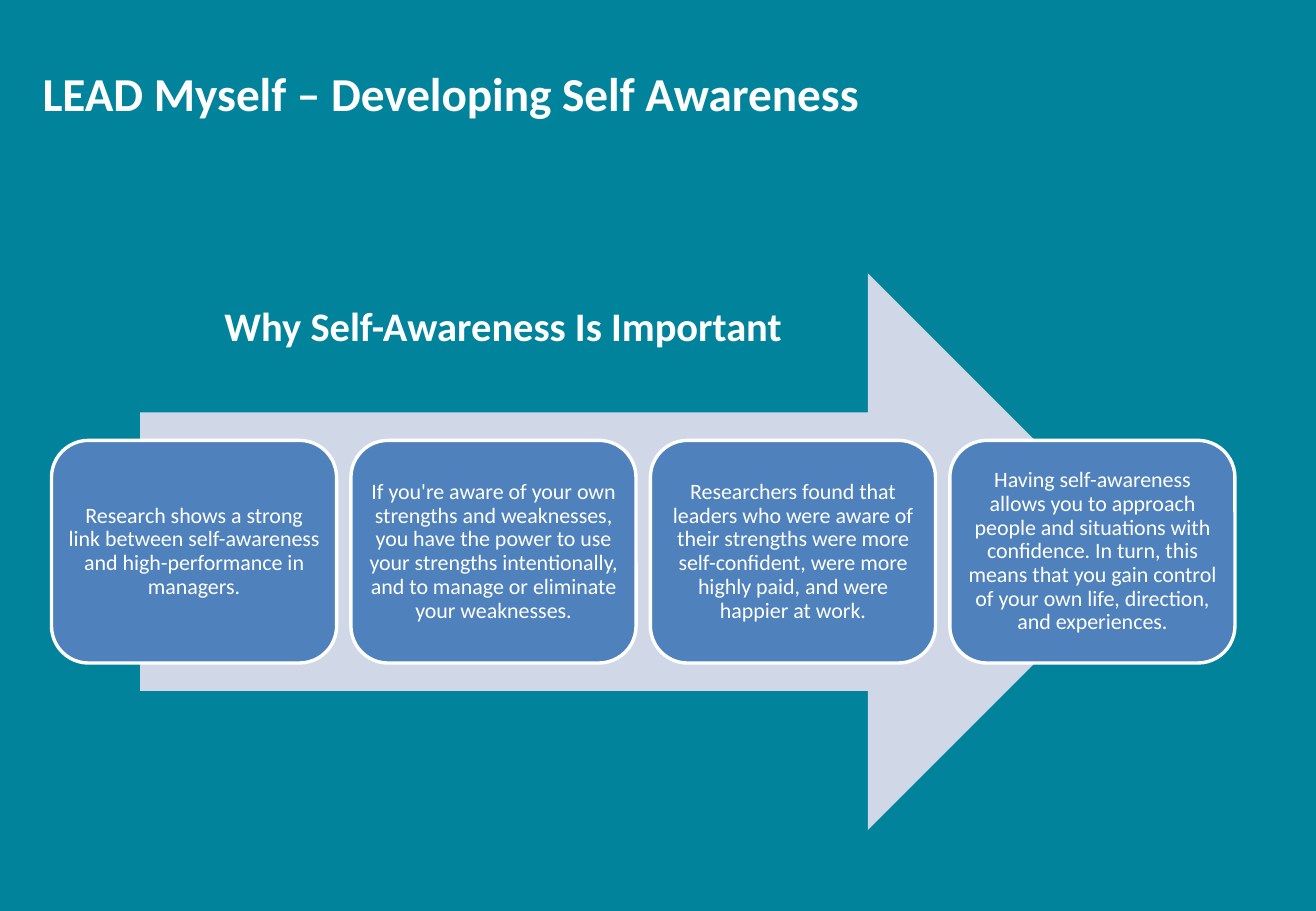
from dataclasses import dataclass

from pptx import Presentation
from pptx.dml.color import RGBColor
from pptx.enum.shapes import MSO_SHAPE as Shape
from pptx.enum.text import MSO_ANCHOR as Anchor, MSO_AUTO_SIZE as AutoSize, PP_ALIGN as Align
from pptx.util import Pt


@dataclass(frozen=True)
class Theme:
    """Colours, font and type sizes of the slide."""
    font: str = "Calibri"
    background: RGBColor = RGBColor(0x00, 0x83, 0x9B)
    arrow: RGBColor = RGBColor(0xD0, 0xD8, 0xE8)
    card: RGBColor = RGBColor(0x4F, 0x81, 0xBD)
    white: RGBColor = RGBColor(0xFF, 0xFF, 0xFF)
    title_size: float = 28
    heading_size: float = 24
    card_size: float = 13


THEME = Theme()

REASONS = [
    "Research shows a strong link between self-awareness and high-performance in managers.",
    "If you're aware of your own strengths and weaknesses, you have the power to use "
    "your strengths intentionally, and to manage or eliminate your weaknesses.",
    "Researchers found that leaders who were aware of their strengths were more "
    "self-confident, were more highly paid, and were happier at work.",
    "Having self-awareness allows you to approach people and situations with confidence. "
    "In turn, this means that you gain control of your own life, direction, and experiences.",
]


def write(frame, text, size, align, bold=False):
    """Fill a text frame with one white paragraph and return the paragraph."""
    frame.text = text
    paragraph = frame.paragraphs[0]
    paragraph.alignment = align
    font = paragraph.runs[0].font
    font.name, font.size, font.bold = THEME.font, Pt(size), bold
    font.color.rgb = THEME.white
    return paragraph


def add_title(slide, text, left, top, width, height):
    """Place the slide title in its placeholder."""
    title = slide.shapes.title
    title.left, title.top, title.width, title.height = map(Pt, (left, top, width, height))
    frame = title.text_frame
    frame.auto_size = AutoSize.NONE
    frame.vertical_anchor = Anchor.MIDDLE
    write(frame, text, THEME.title_size, Align.LEFT, bold=True)


def add_heading(slide, text, left, top, width, height):
    """Place the heading above the arrow."""
    heading = slide.shapes.add_textbox(*map(Pt, (left, top, width, height)))
    heading.text_frame.word_wrap = False
    write(heading.text_frame, text, THEME.heading_size, Align.LEFT, bold=True)


def add_block(slide, kind, fill, left, top, width, height):
    """Add a flat, filled shape without an outline."""
    block = slide.shapes.add_shape(kind, *map(Pt, (left, top, width, height)))
    block.shadow.inherit = False
    block.fill.solid()
    block.fill.fore_color.rgb = fill
    block.line.fill.background()
    return block


def add_reason_card(slide, text, left, top, width, height):
    """Add one rounded card holding a reason."""
    card = add_block(slide, Shape.ROUNDED_RECTANGLE, THEME.card, left, top, width, height)
    card.line.color.rgb = THEME.white
    card.line.width = Pt(2)
    frame = card.text_frame
    frame.word_wrap = True
    frame.vertical_anchor = Anchor.MIDDLE
    frame.margin_left = frame.margin_right = frame.margin_top = frame.margin_bottom = Pt(3.6)
    write(frame, text, THEME.card_size, Align.CENTER).line_spacing = 0.9


def add_reason_arrow(slide, reasons, left, top, width, height):
    """Lay an arrow across the box and a row of evenly spaced cards over it."""
    arrow_width = 0.85 * width
    add_block(slide, Shape.RIGHT_ARROW, THEME.arrow,
              left + (width - arrow_width) / 2, top, arrow_width, height)
    gap_share = 0.05
    card_width = width / (len(reasons) + gap_share * (len(reasons) - 1))
    card_height = 0.4 * height
    pitch = card_width * (1 + gap_share)
    for index, reason in enumerate(reasons):
        add_reason_card(slide, reason, left + index * pitch,
                        top + (height - card_height) / 2, card_width, card_height)


def main():
    """Build the self-awareness slide and save it."""
    deck = Presentation()
    deck.slide_width, deck.slide_height = Pt(780), Pt(540)
    slide = deck.slides.add_slide(deck.slide_layouts[5])
    slide.background.fill.solid()
    slide.background.fill.fore_color.rgb = THEME.background
    add_title(slide, "LEAD Myself – Developing Self Awareness", 18, 27.5, 620, 55)
    add_heading(slide, "Why Self-Awareness Is Important", 126, 175, 349, 36)
    add_reason_arrow(slide, REASONS, 30.5, 162, 701.5, 330)
    deck.save("out.pptx")


if __name__ == "__main__":
    main()
